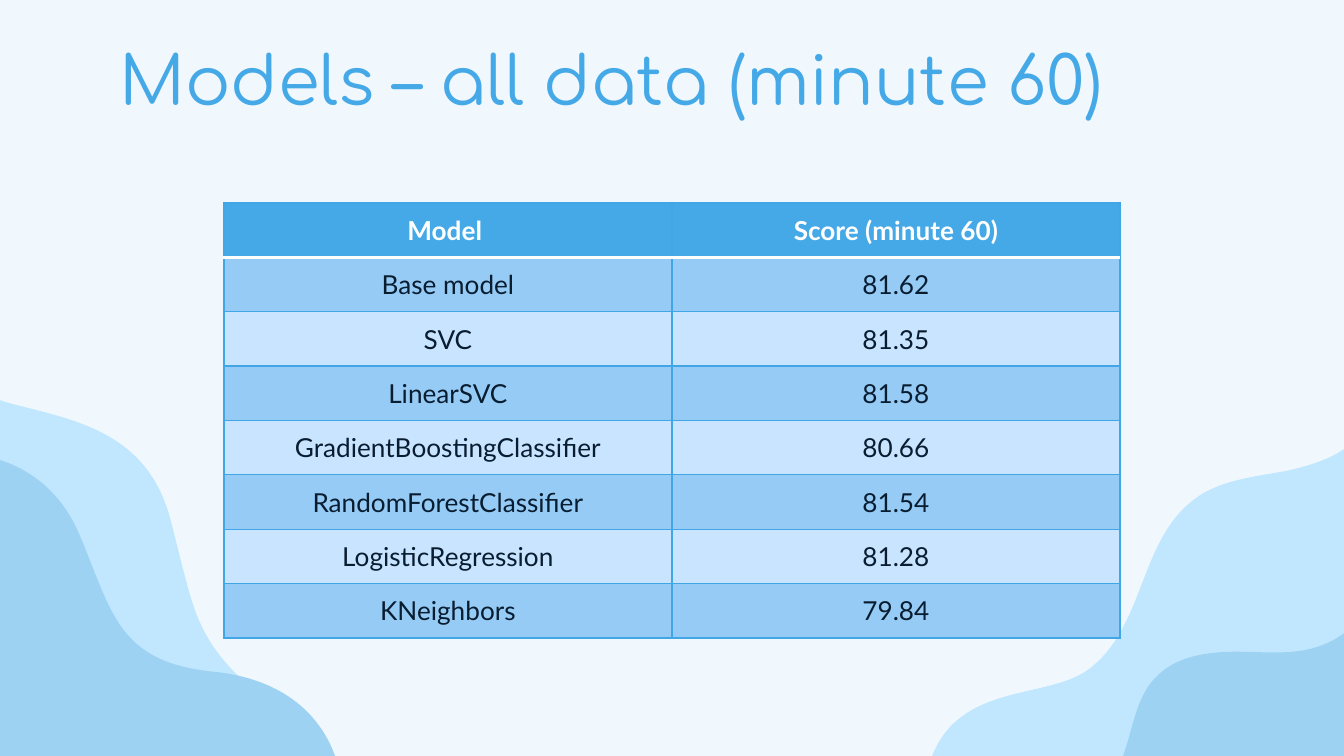
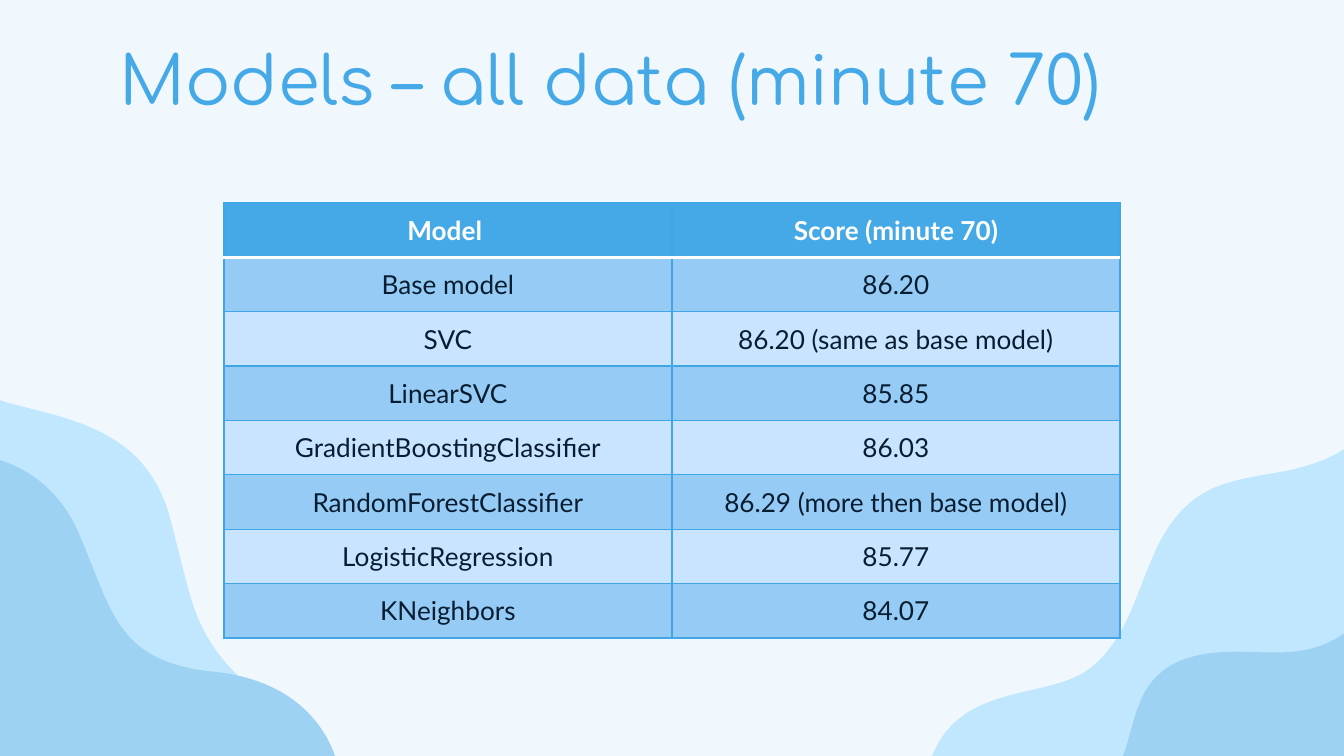
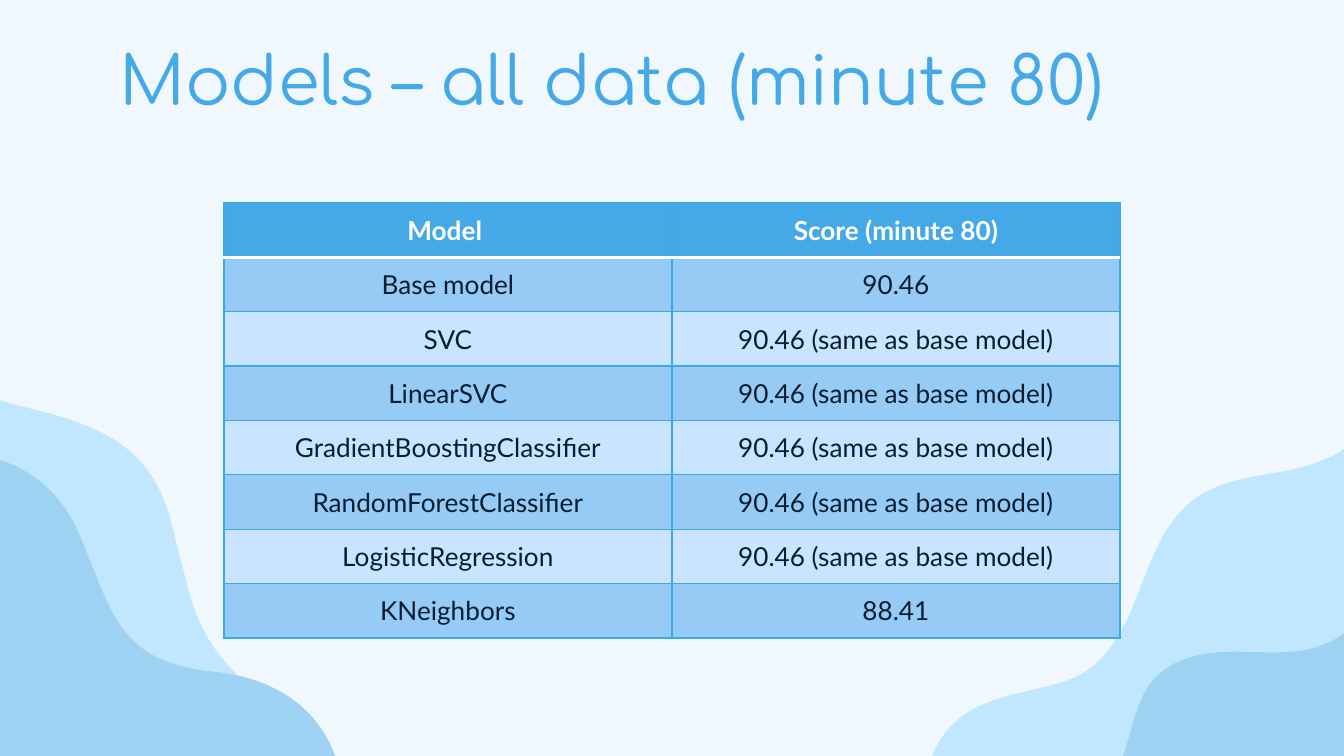
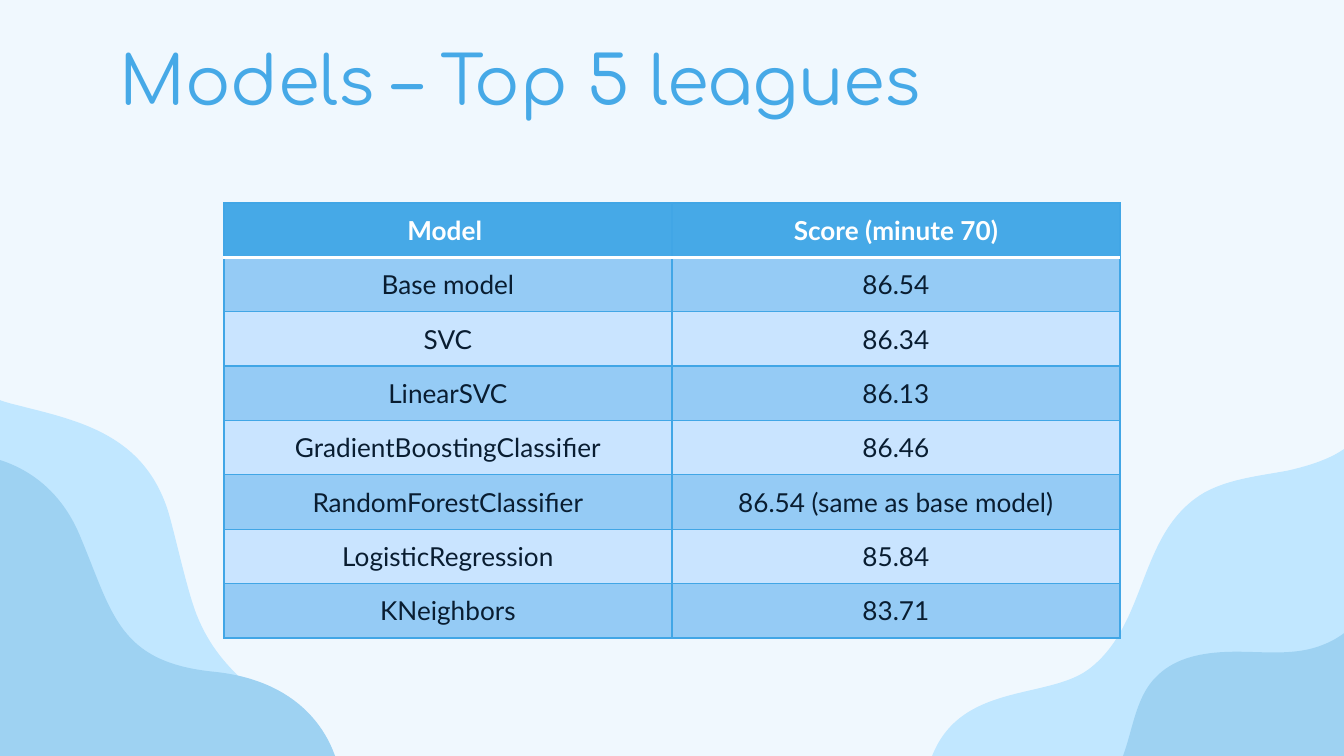
from lxml import etree
from pptx import Presentation, util as u
from pptx.dml.color import RGBColor
from pptx.enum import text
from pptx.oxml.ns import qn

BLUE = RGBColor(0x46, 0xA9, 0xE7)
EDGE = RGBColor(0x41, 0xA6, 0xE6)
DARK = RGBColor(0x95, 0xCB, 0xF5)
LIGHT = RGBColor(0xC9, 0xE4, 0xFF)
PALE = RGBColor(0xF0, 0xF8, 0xFE)
SKY = RGBColor(0xC1, 0xE7, 0xFF)
WAVE = RGBColor(0x9E, 0xD2, 0xF2)
INK = RGBColor(0x09, 0x1D, 0x31)
WHITE = RGBColor(0xFF, 0xFF, 0xFF)

WIDE, HIGH = u.Inches(10), u.Inches(5.625)

MODELS = ["Base model", "SVC", "LinearSVC", "GradientBoostingClassifier",
          "RandomForestClassifier", "LogisticRegression", "KNeighbors"]
SAME = "{} (same as base model)"

PAGES = [
    ("Models – all data (minute 60)", 60,
     ["81.62", "81.35", "81.58", "80.66", "81.54", "81.28", "79.84"]),
    ("Models – all data (minute 70)", 70,
     ["86.20", SAME.format("86.20"), "85.85", "86.03",
      "86.29 (more then base model)", "85.77", "84.07"]),
    ("Models – all data (minute 80)", 80,
     ["90.46"] + [SAME.format("90.46")] * 5 + ["88.41"]),
    ("Models – Top 5 leagues", 70,
     ["86.54", "86.34", "86.13", "86.46", SAME.format("86.54"),
      "85.84", "83.71"]),
]

WAVES = [
    (SKY, (6.87, 5.92), [
        (6.95, 5.03, 7.75, 5.24, 8.1, 4.98),
        (8.55, 4.64, 8.46, 3.95, 8.97, 3.66),
        (9.16, 3.56, 9.38, 3.54, 9.59, 3.5),
        (9.8, 3.45, 10.02, 3.38, 10.13, 3.21),
        (10.22, 3.09, 10.23, 2.94, 10.24, 2.79),
        (10.25, 2.65, 10.27, 2.5, 10.35, 2.37),
        (10.43, 2.25, 10.72, 1.97, 11.02, 2.12),
        (11.05, 2.13, 11.08, 5.98, 11.08, 5.98)]),
    (WAVE, (11.08, 2.67), [
        (10.67, 2.51, 10.34, 2.88, 10.42, 3.28),
        (10.48, 3.63, 10.45, 3.9, 10.38, 4.13),
        (10.29, 4.41, 10.11, 4.7, 9.84, 4.8),
        (9.64, 4.88, 9.42, 4.85, 9.2, 4.85),
        (8.99, 4.85, 8.76, 4.88, 8.61, 5.03),
        (8.42, 5.21, 8.43, 5.52, 8.3, 5.75),
        (8.28, 5.78, 8.26, 5.81, 8.24, 5.84),
        (11.08, 5.84)]),
    (SKY, (2.29, 5.61), [
        (2.2, 5.41, 2.02, 5.26, 1.86, 5.11),
        (1.69, 4.96, 1.56, 4.81, 1.47, 4.59),
        (1.39, 4.4, 1.29, 3.91, 1.24, 3.77),
        (1.04, 3.2, 0.53, 3.12, 0.07, 3),
        (-0.04, 2.97, -0.14, 2.92, -0.23, 2.86),
        (-0.23, 4.94), (-0.28, 5.97), (2.32, 5.97),
        (2.35, 5.85, 2.34, 5.72, 2.29, 5.61)]),
    (WAVE, (-0.23, 5.94), [
        (2.55, 5.94),
        (2.54, 5.5, 2.26, 5.07, 1.6, 5),
        (0.88, 4.93, 0.84, 4.57, 0.6, 4),
        (0.39, 3.48, -0.05, 3.39, -0.23, 3.38),
        (-0.23, 5.94)]),
]


def bend(wave, parts):
    lines = iter(list(wave.element.iter(qn("a:lnTo"))))
    for part in parts:
        line = next(lines)
        if len(part) == 6:
            line.addprevious(curve := etree.Element(qn("a:cubicBezTo")))
            for knot in (line, next(lines), next(lines)):
                curve.append(knot[0])
                knot.getparent().remove(knot)


def add_wave(slide, color, start, parts):
    dots = [(u.Inches(x), u.Inches(y))
            for part in parts for x, y in zip(part[::2], part[1::2])]
    pen = slide.shapes.build_freeform(*map(u.Inches, start))
    pen.add_line_segments(dots, close=True)
    wave = pen.convert_to_shape()
    bend(wave, parts)
    wave.fill.solid()
    wave.fill.fore_color.rgb = color
    wave.line.fill.background()
    wave.shadow.inherit = False
    return wave


def dress_layout(layout, slide):
    fill = layout.background.fill
    fill.solid()
    fill.fore_color.rgb = PALE
    for wave in WAVES:
        layout.shapes.element.append(add_wave(slide, *wave).element)


def set_font(para, name, size, color, bold=False):
    font = para.font
    font.name, font.size, font.bold = name, u.Pt(size), bold
    font.color.rgb = color


def set_title(slide, words):
    title = slide.shapes.title
    title.left, title.top = u.Inches(0.79), u.Inches(0.27)
    title.width, title.height = u.Inches(8.43), u.Inches(0.63)
    frame = title.text_frame
    frame.text = words
    frame.auto_size = text.MSO_AUTO_SIZE.NONE
    frame.vertical_anchor = text.MSO_ANCHOR.MIDDLE
    frame.margin_left = frame.margin_right = u.Inches(0.1)
    frame.margin_top = frame.margin_bottom = u.Inches(0.1)
    para = frame.paragraphs[0]
    para.alignment = text.PP_ALIGN.LEFT
    set_font(para, "Comfortaa", 36, BLUE)


def set_edges(cell, edges):
    props = cell._tc.get_or_add_tcPr()
    for place, (side, (color, width)) in enumerate(edges.items()):
        line = etree.Element(qn("a:ln" + side), w=str(u.Pt(width)))
        fill = etree.SubElement(line, qn("a:solidFill"))
        etree.SubElement(fill, qn("a:srgbClr"), val=str(color))
        props.insert(place, line)


def fill_cell(cell, words, row):
    head = row == 0
    cell.text = words
    cell.vertical_anchor = text.MSO_ANCHOR.MIDDLE
    cell.fill.solid()
    cell.fill.fore_color.rgb = BLUE if head else DARK if row % 2 else LIGHT
    para = cell.text_frame.paragraphs[0]
    para.alignment = text.PP_ALIGN.CENTER
    set_font(para, "Lato", 14, WHITE if head else INK, head)
    edges = dict.fromkeys("LRTB", (EDGE, 0.75))
    if row < 2:
        edges["T" if row else "B"] = (WHITE, 2)
    set_edges(cell, edges)


def add_scores(slide, minute, scores):
    rows = [("Model ", f"Score (minute {minute})"), *zip(MODELS, scores)]
    width = WIDE * 2 // 3
    table = slide.shapes.add_table(
        len(rows), 2, (WIDE - width) // 2, u.Inches(1.51),
        width, u.Inches(3.24)).table
    for row, pair in enumerate(rows):
        for col, words in enumerate(pair):
            fill_cell(table.cell(row, col), words, row)


def main():
    deck = Presentation()
    deck.slide_width, deck.slide_height = WIDE, HIGH
    layout = deck.slide_layouts.get_by_name("Title Only")
    for title, minute, scores in PAGES:
        slide = deck.slides.add_slide(layout)
        set_title(slide, title)
        add_scores(slide, minute, scores)
    dress_layout(layout, deck.slides[0])
    deck.save("out.pptx")


if __name__ == "__main__":
    main()
